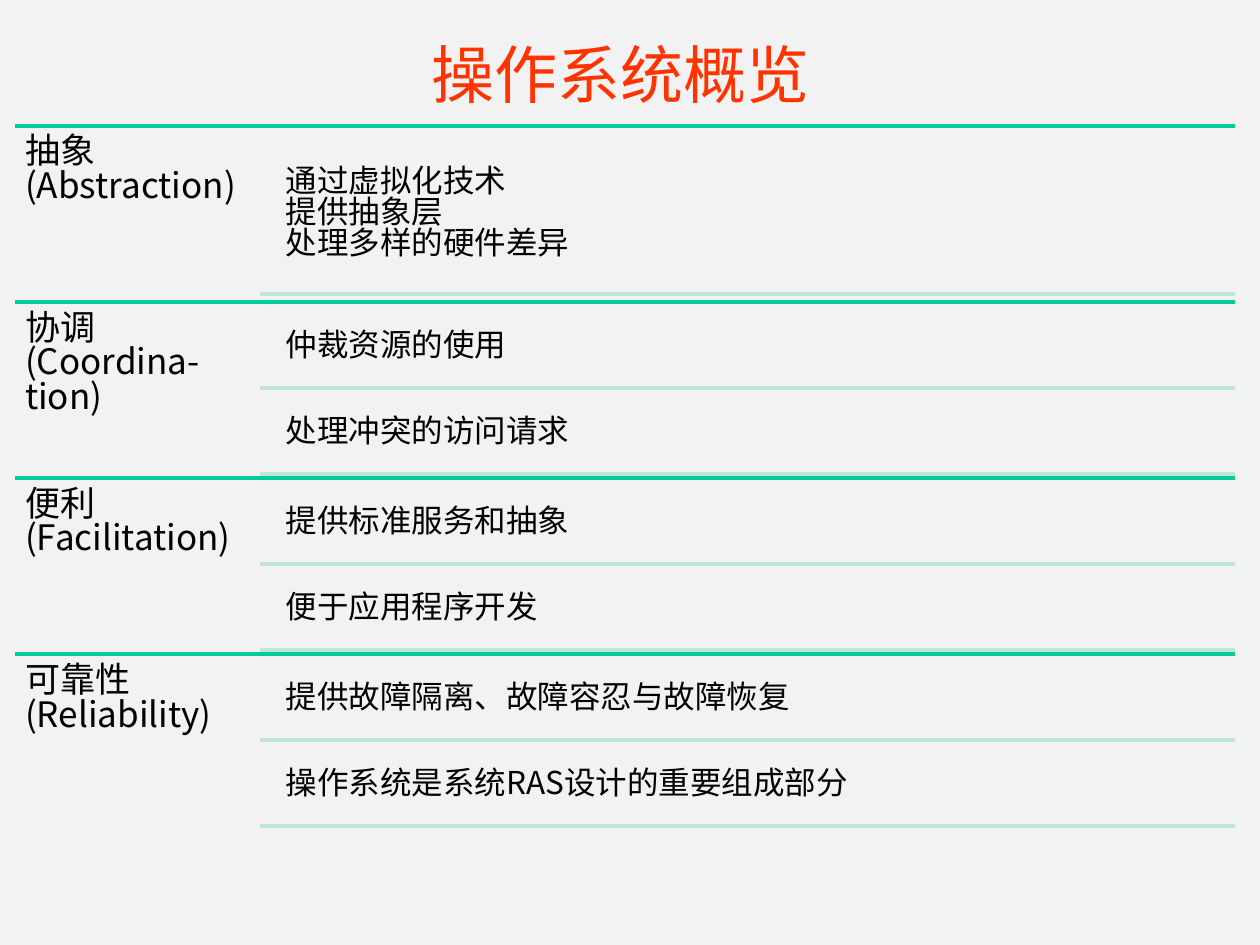
import pptx
import pptx.util
import pptx.dml.color
import pptx.enum.shapes
import pptx.enum.text
import lxml.etree
from pptx.oxml.ns import qn

TITLE = "操作系统概览"
# Each goal: label, then its entries; an entry is a list of lines.
GOALS = [
    ("抽象\v(Abstraction)", [["通过虚拟化技术", "提供抽象层", "处理多样的硬件差异"]]),
    ("协调\v(Coordina-\vtion)", [["仲裁资源的使用"], ["处理冲突的访问请求"]]),
    ("便利\v(Facilitation)", [["提供标准服务和抽象"], ["便于应用程序开发"]]),
    ("可靠性\v(Reliability)", [["提供故障隔离、故障容忍与故障恢复"],
                          ["操作系统是系统RAS设计的重要组成部分"]]),
]

FONT = "Noto Sans CJK SC"
LEFT, RIGHT, TOP, BOTTOM = 0.12, 9.8, 1, 6.59
LABEL_WIDTH, ENTRY_LEFT = 1.94, 2.2
RULE_LEFT = LEFT + LABEL_WIDTH
BAND = (BOTTOM - TOP) / len(GOALS)
GAP_SHARE = 0.05  # gap between entries, as a share of an entry's height

inches = pptx.util.Inches
ANCHOR = pptx.enum.text.MSO_ANCHOR


def color(value):
    return pptx.dml.color.RGBColor.from_string(value)


def add_rule(slide, left, y, value):
    rule = slide.shapes.add_connector(
        pptx.enum.shapes.MSO_CONNECTOR.STRAIGHT,
        inches(left), inches(y), inches(RIGHT), inches(y))
    rule.line.color.rgb = color(value)
    rule.line.width = pptx.util.Pt(2)
    lxml.etree.SubElement(rule._element.spPr, qn("a:effectLst"))


def add_text(slide, area, lines, size, inset, anchor):
    box = slide.shapes.add_textbox(*map(inches, area))
    frame = box.text_frame
    frame.word_wrap = True
    frame.vertical_anchor = anchor
    frame.margin_left = frame.margin_right = inches(inset)
    frame.margin_top = frame.margin_bottom = inches(inset)
    frame.text = "\n".join(lines)
    for para in frame.paragraphs:
        para.line_spacing = 0.83
        para.font.name = FONT
        para.font.size = pptx.util.Pt(size)
        para.font.color.rgb = color("000000")


def add_title(slide):
    title = slide.shapes.title
    title.left, title.top, title.width, title.height = map(inches, (0.21, 0.07, 9.43, 1.02))
    title.text_frame.text = TITLE
    title.text_frame.vertical_anchor = ANCHOR.MIDDLE
    para = title.text_frame.paragraphs[0]
    para.alignment = pptx.enum.text.PP_ALIGN.CENTER
    para.font.name = "Times New Roman"
    para.font.size = pptx.util.Pt(36)
    para.font.color.rgb = color("FF3300")


def add_goal(slide, top, label, entries):
    add_rule(slide, LEFT, top, "00CC99")
    add_text(slide, (LEFT, top, LABEL_WIDTH, BAND), [label], 20, 0.08, ANCHOR.TOP)
    count = len(entries)
    height = BAND / (count + GAP_SHARE * (count + 1))
    gap = height * GAP_SHARE
    for row, lines in enumerate(entries):
        y = top + gap + row * (height + gap)
        add_text(slide, (ENTRY_LEFT, y, RIGHT - ENTRY_LEFT, height),
                 lines, 18, 0.07, ANCHOR.MIDDLE)
        add_rule(slide, RULE_LEFT, y + height, "BDE7D4")


def main():
    deck = pptx.Presentation()
    deck.slide_width, deck.slide_height = inches(10), inches(7.5)
    slide = deck.slides.add_slide(deck.slide_layouts[5])
    slide.background.fill.solid()
    slide.background.fill.fore_color.rgb = color("F2F2F2")
    add_title(slide)
    for index, (label, entries) in enumerate(GOALS):
        add_goal(slide, TOP + index * BAND, label, entries)
    deck.save("out.pptx")


if __name__ == "__main__":
    main()
